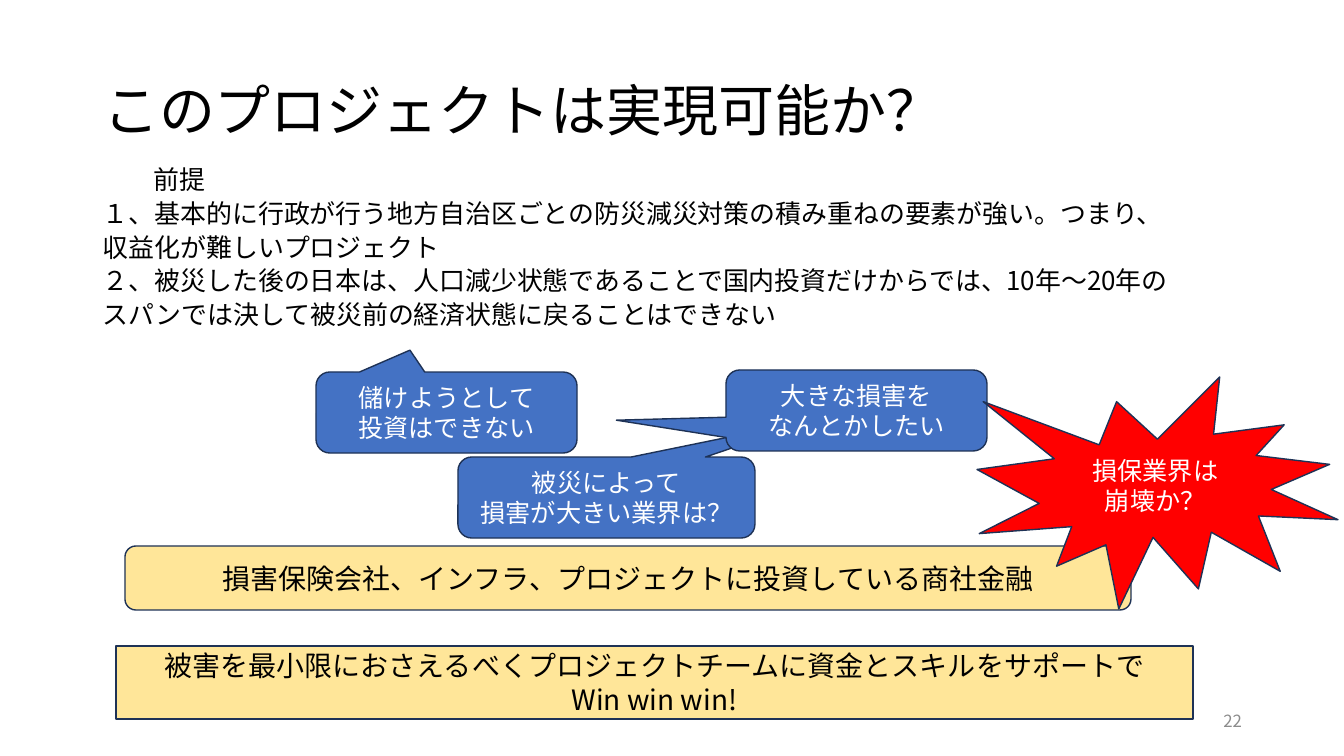
"""Build the slide on whether the project is feasible."""
from lxml.etree import SubElement
from pptx import Presentation
from pptx.dml.color import RGBColor
from pptx.enum.shapes import MSO_SHAPE as Shape
from pptx.enum.text import MSO_ANCHOR as Anchor, PP_ALIGN as Align
from pptx.oxml.ns import qn
from pptx.util import Pt

SCALE = 914400 / 100.8
FONT = "Noto Sans CJK JP"
HUES = {"ink": "000000", "white": "FFFFFF", "gray": "8C8C8C", "blue": "4472C4",
        "edge": "1E3256", "sand": "FFE699", "red": "FF0000"}

TITLE = "このプロジェクトは実現可能か？"
BODY = [
    "\t前提",
    "１、基本的に行政が行う地方自治区ごとの防災減災対策の積み重ねの要素が強い。つまり、",
    "収益化が難しいプロジェクト",
    "２、被災した後の日本は、人口減少状態であることで国内投資だけからでは、10年〜20年の",
    "スパンでは決して被災前の経済状態に戻ることはできない",
]
PAGE = "22"
CALL, BAR, BURST = Shape.ROUNDED_RECTANGULAR_CALLOUT, Shape.ROUNDED_RECTANGLE, Shape.EXPLOSION1
STYLES = {CALL: ("blue", "white", 18), BAR: ("sand", "ink", 20), BURST: ("red", "white", 18)}
PARTS = [
    (CALL, (458, 457, 297, 81), (0.71, -0.97, 0.17), ["被災によって", "損害が大きい業界は？"]),
    (CALL, (316, 372, 261, 81), (-0.14, -0.77, 0.17), ["儲けようとして", "投資はできない"]),
    (CALL, (726, 370, 261, 81), (-0.92, 0.12, 0.17), ["大きな損害を", "なんとかしたい"]),
    (BAR, (125, 546, 1006, 64), (0.17,),
     ["損害保険会社、インフラ、プロジェクトに投資している商社金融"]),
    (BAR, (116, 646, 1077, 73), (0,),
     ["被害を最小限におさえるべくプロジェクトチームに資金とスキルをサポートで", "Win win win!"]),
    (BURST, (977, 377, 361, 232), (), ["損保業界は", "崩壊か？"]),
]


def px(num):
    return round(num * SCALE)


def hue(name):
    return RGBColor.from_string(HUES[name])


def write(shape, lines, size, ink, align, anchor=Anchor.MIDDLE, pitch=None, gap=0):
    frame = shape.text_frame
    frame.word_wrap = True
    frame.vertical_anchor = anchor
    frame.text = "\n".join(lines)
    for pos, para in enumerate(frame.paragraphs):
        para.alignment = align
        if pitch:
            para.line_spacing = pitch
        if pos and gap:
            para.space_before = Pt(gap)
        for run in para.runs:
            run.font.size = Pt(size)
            run.font.name = FONT
            run.font.color.rgb = hue(ink)
            SubElement(run.font._element, qn("a:ea"), typeface=FONT)


def main():
    deck = Presentation()
    deck.slide_width, deck.slide_height = px(1344), px(756)
    slide = deck.slides.add_slide(deck.slide_layouts[5])
    shapes = slide.shapes

    title = shapes.title
    title.left, title.top, title.width, title.height = map(px, (93, 40, 1159, 146))
    write(title, [TITLE], 40, "ink", Align.LEFT, pitch=0.9)

    body = shapes.add_textbox(*map(px, (93, 165, 1204, 202)))
    write(body, BODY, 18.5, "ink", Align.LEFT, Anchor.TOP, 0.8, 6.3)

    page = shapes.add_textbox(*map(px, (950, 701, 302, 40)))
    write(page, [PAGE], 12, "gray", Align.RIGHT)

    for kind, box, bends, lines in PARTS:
        fill, ink, size = STYLES[kind]
        part = shapes.add_shape(kind, *map(px, box))
        for pos, bend in enumerate(bends):
            part.adjustments[pos] = bend
        part.shadow.inherit = False
        part.fill.solid()
        part.fill.fore_color.rgb = hue(fill)
        part.line.color.rgb = hue("edge")
        part.line.width = Pt(1)
        write(part, lines, size, ink, Align.CENTER)

    deck.save("out.pptx")


if __name__ == "__main__":
    main()
